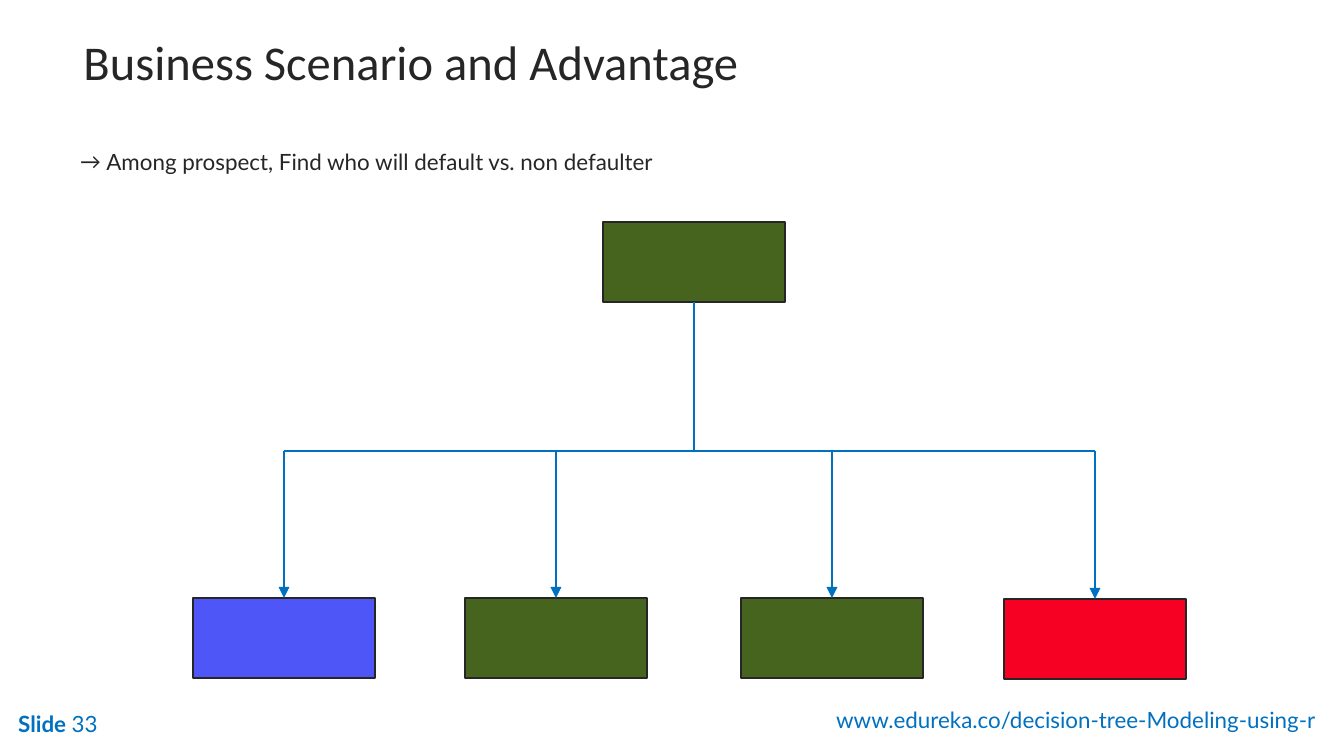
from dataclasses import dataclass

from lxml import etree
from pptx import Presentation
from pptx import util as u
from pptx.dml.color import RGBColor
from pptx.enum import shapes, text
from pptx.oxml.ns import qn

EMU_PER_PX = 914400 / 134.4
BLUE = RGBColor(0x00, 0x70, 0xC0)
DARK = RGBColor(0x26, 0x26, 0x26)
VIOLET = RGBColor(0x4E, 0x56, 0xF8)
GREEN = RGBColor(0x46, 0x64, 0x1E)
RED = RGBColor(0xF6, 0x00, 0x23)

NODE_WIDTH, NODE_HEIGHT = 182, 80
BUS_Y = 451
INDENT = 26


@dataclass(frozen=True)
class Node:
    left: int
    top: int
    fill: RGBColor

    @property
    def center(self) -> int:
        return self.left + NODE_WIDTH // 2


@dataclass(frozen=True)
class Footer:
    left: int
    top: int
    width: int
    runs: tuple[tuple[str, bool], ...]
    alignment: text.PP_ALIGN


ROOT = Node(603, 222, GREEN)
LEAVES = (
    Node(193, 598, VIOLET),
    Node(465, 598, GREEN),
    Node(741, 598, GREEN),
    Node(1004, 599, RED),
)
FOOTERS = (
    Footer(755, 700, 574, (("www.edureka.co/decision-tree-Modeling-using-r", False),),
           text.PP_ALIGN.RIGHT),
    Footer(5, 704, 212, (("Slide ", True), ("33", False)), text.PP_ALIGN.LEFT),
)


def px(length: int) -> u.Emu:
    return u.Emu(round(length * EMU_PER_PX))


def style_font(font, name: str, size: int, color: RGBColor, bold: bool = False) -> None:
    font.name = name
    font.size = u.Pt(size)
    font.color.rgb = color
    font.bold = bold


def fill_placeholder(shape, box: tuple[int, int, int, int], content: str,
                     anchor: text.MSO_ANCHOR):
    """Place the placeholder, set its text and return its only paragraph."""
    shape.left, shape.top, shape.width, shape.height = map(px, box)
    frame = shape.text_frame
    frame.text = content
    frame.auto_size = text.MSO_AUTO_SIZE.NONE
    frame.vertical_anchor = anchor
    paragraph = frame.paragraphs[0]
    paragraph.alignment = text.PP_ALIGN.LEFT
    paragraph.space_before = u.Pt(0)
    return paragraph


def add_arrow_bullet(paragraph) -> None:
    properties = paragraph._p.get_or_add_pPr()
    properties.set("marL", str(px(INDENT)))
    properties.set("indent", str(-px(INDENT)))
    etree.SubElement(properties, qn("a:buFont"), typeface="Calibri")
    etree.SubElement(properties, qn("a:buChar"), char="→")


def add_node(slide, node: Node):
    shape = slide.shapes.add_shape(
        shapes.MSO_SHAPE.RECTANGLE,
        *map(px, (node.left, node.top, NODE_WIDTH, NODE_HEIGHT)))
    shape.shadow.inherit = False
    shape.fill.solid()
    shape.fill.fore_color.rgb = node.fill
    shape.line.color.rgb = DARK
    shape.line.width = u.Pt(0.75)
    return shape


def add_line(slide, start: tuple[int, int], end: tuple[int, int], arrow: bool = False):
    connector = slide.shapes.add_connector(
        shapes.MSO_CONNECTOR.STRAIGHT, *map(px, start + end))
    connector.line.color.rgb = BLUE
    connector.line.width = u.Pt(1)
    if arrow:
        etree.SubElement(connector.line._get_or_add_ln(), qn("a:tailEnd"), type="triangle")
    etree.SubElement(connector._element.spPr, qn("a:effectLst"))
    return connector


def add_footer(slide, footer: Footer) -> None:
    box = slide.shapes.add_textbox(*map(px, (footer.left, footer.top, footer.width, 40)))
    box.text_frame.word_wrap = True
    paragraph = box.text_frame.paragraphs[0]
    paragraph.alignment = footer.alignment
    for content, bold in footer.runs:
        run = paragraph.add_run()
        run.text = content
        style_font(run.font, "Lato", 12, BLUE, bold)


def add_tree(slide) -> None:
    root = add_node(slide, ROOT)
    trunk = add_line(slide, (ROOT.center, ROOT.top + NODE_HEIGHT), (ROOT.center, BUS_Y))
    trunk.begin_connect(root, 2)
    add_line(slide, (LEAVES[0].center, BUS_Y), (LEAVES[-1].center, BUS_Y))
    for leaf in LEAVES:
        shape = add_node(slide, leaf)
        branch = add_line(slide, (leaf.center, BUS_Y), (leaf.center, leaf.top), arrow=True)
        branch.end_connect(shape, 0)


def main() -> None:
    presentation = Presentation()
    presentation.slide_width, presentation.slide_height = px(1344), px(756)
    slide = presentation.slides.add_slide(presentation.slide_layouts[1])

    title = fill_placeholder(slide.shapes.title, (70, 24, 1158, 75),
                             "Business Scenario and Advantage", text.MSO_ANCHOR.MIDDLE)
    style_font(title.runs[0].font, "Calibri", 26, DARK)

    body = fill_placeholder(slide.placeholders[1], (67, 128, 1158, 578),
                            "Among prospect, Find who will default vs. non defaulter",
                            text.MSO_ANCHOR.TOP)
    body.line_spacing = 1.5
    add_arrow_bullet(body)
    style_font(body.runs[0].font, "Lato", 12, DARK)

    add_tree(slide)
    for footer in FOOTERS:
        add_footer(slide, footer)
    presentation.save("out.pptx")


if __name__ == "__main__":
    main()
